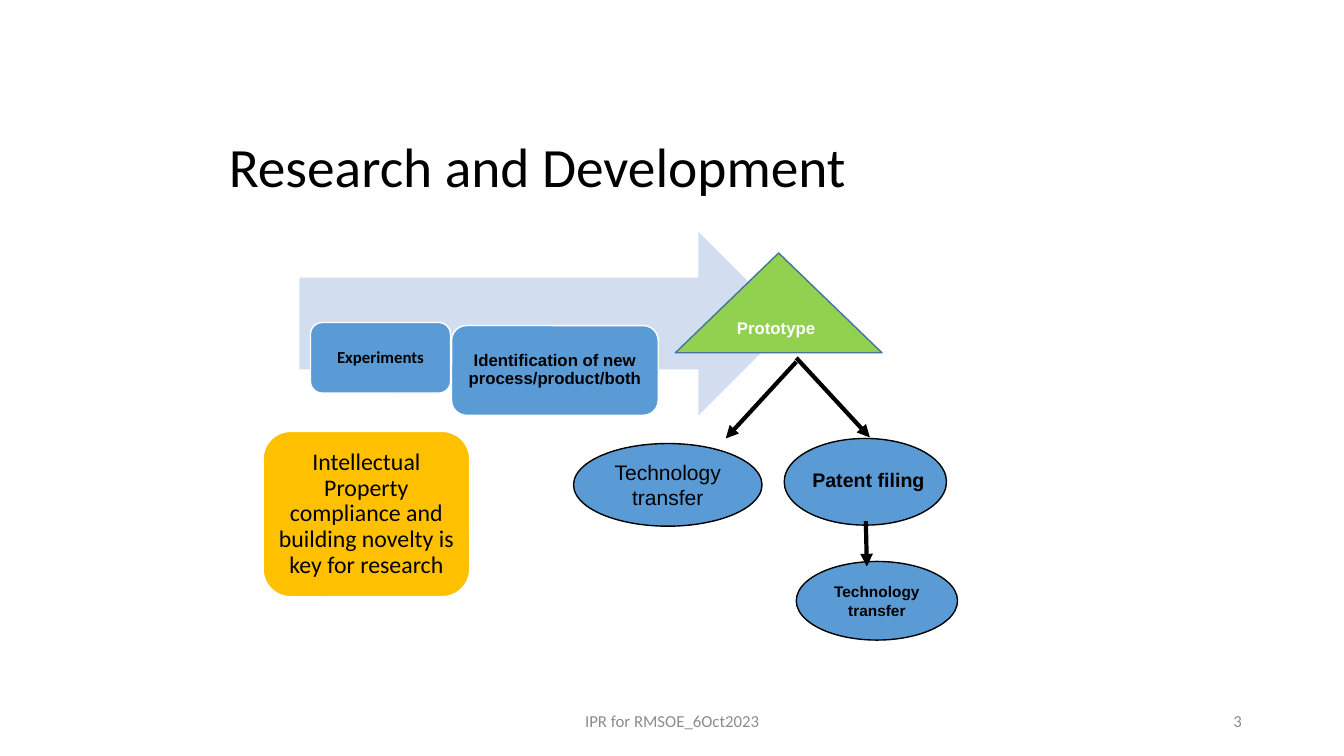
"""Build the Research and Development flow slide."""
from dataclasses import dataclass, field
from typing import Any, NamedTuple, Optional

import pptx
import pptx.dml.color
import pptx.enum.shapes
import pptx.enum.text
import pptx.oxml
import pptx.oxml.ns
import pptx.util

Pt = pptx.util.Pt
SHAPE = pptx.enum.shapes.MSO_SHAPE
ALIGN = pptx.enum.text.PP_ALIGN
ANCHOR = pptx.enum.text.MSO_ANCHOR


@dataclass(frozen=True)
class Theme:
    """Colours, fonts and type sizes of the slide."""

    black: str = "000000"
    white: str = "FFFFFF"
    grey: str = "8C8C8C"
    blue: str = "5B9BD5"
    pale: str = "D2DEEF"
    amber: str = "FFC000"
    green: str = "92D050"
    outline: str = "43739E"
    sans: str = "Arial"
    body: str = "Calibri"
    title: float = 39.6
    key: float = 17
    branch: float = 15
    filing: float = 14
    label: float = 12
    small: float = 11


T = Theme()


class Box(NamedTuple):
    """Left, top, width and height in points."""

    left: float
    top: float
    width: float
    height: float


@dataclass(frozen=True)
class Style:
    """Format of one piece of text."""

    size: float
    font: str = T.sans
    color: str = T.black
    bold: bool = False
    align: Any = ALIGN.CENTER
    anchor: Any = ANCHOR.MIDDLE
    spacing: Optional[float] = None
    inset: Optional[float] = None


@dataclass(frozen=True)
class Node:
    """A filled shape or, without a kind, a text box."""

    box: Box
    kind: Any = None
    fill: str = T.blue
    line: Optional[str] = T.black
    text: str = ""
    style: Style = field(default_factory=lambda: Style(T.label))


class Arrow(NamedTuple):
    """Start and end of an arrow in points."""

    x1: float
    y1: float
    x2: float
    y2: float


FOOTER = Style(T.label, T.body, T.grey)
TITLE = Style(T.title, T.body, align=ALIGN.LEFT, spacing=0.9)

NODES = [
    Node(Box(213.84, 165.6, 350.64, 131.04), SHAPE.RIGHT_ARROW, T.pale, None),
    Node(Box(221.76, 230.4, 100.08, 50.4), SHAPE.ROUNDED_RECTANGLE, T.blue, T.white,
         "Experiments", Style(T.label, T.body, bold=True, spacing=0.9, inset=3.6)),
    Node(Box(322.56, 232.56, 147.6, 64.08), SHAPE.ROUNDED_RECTANGLE, T.blue, T.white,
         "Identification of new process/product/both",
         Style(T.label, bold=True, spacing=0.9, inset=3.6)),
    Node(Box(187.92, 308.16, 147.6, 118.08), SHAPE.ROUNDED_RECTANGLE, T.amber, T.white,
         "Intellectual Property compliance and building novelty is key for research",
         Style(T.key, T.body, spacing=0.9, inset=5.04)),
    Node(Box(482.4, 180.72, 147.6, 71.28), SHAPE.ISOSCELES_TRIANGLE, T.green, T.outline,
         "Prototype", Style(T.label, color=T.white, bold=True, align=ALIGN.LEFT)),
    Node(Box(409.68, 316.8, 134.64, 59.04), SHAPE.OVAL,
         text="Technology transfer", style=Style(T.branch)),
    Node(Box(560.16, 313.2, 115.92, 61.92), SHAPE.OVAL),
    Node(Box(568.8, 401.04, 115.2, 56.16), SHAPE.OVAL,
         text="Technology transfer", style=Style(T.small, bold=True)),
]
ARROWS = [
    Arrow(568.8, 258.48, 518.4, 313.2),
    Arrow(568.8, 255.6, 621.36, 312.48),
    Arrow(618.48, 372.24, 619.2, 404.64),
]
LABELS = [
    Node(Box(573.12, 330.48, 106.56, 24.48), text="Patent filing",
         style=Style(T.filing, bold=True, align=ALIGN.LEFT, anchor=ANCHOR.TOP)),
    Node(Box(318.24, 500.4, 324, 28.8), text="IPR for RMSOE_6Oct2023", style=FOOTER),
    Node(Box(678.24, 500.4, 216, 28.8), text="3",
         style=Style(T.label, T.body, T.grey, align=ALIGN.RIGHT)),
]


def rgb(value: str) -> Any:
    """Return a colour from its hex value."""
    return pptx.dml.color.RGBColor.from_string(value)


def apply(target: Any, values: dict[str, Any]) -> None:
    """Set every attribute in values on target."""
    for name, value in values.items():
        setattr(target, name, value)


def write(sp: Any, text: str, style: Style) -> None:
    """Put styled text into a shape."""
    tf = sp.text_frame
    apply(tf, {"word_wrap": True, "vertical_anchor": style.anchor,
               "auto_size": pptx.enum.text.MSO_AUTO_SIZE.NONE})
    if style.inset is not None:
        sides = ("left", "top", "right", "bottom")
        apply(tf, {f"margin_{side}": Pt(style.inset) for side in sides})
    p = tf.paragraphs[0]
    apply(p, {"alignment": style.align, "line_spacing": style.spacing})
    r = p.add_run()
    r.text = text
    apply(r.font, {"name": style.font, "size": Pt(style.size), "bold": style.bold})
    r.font.color.rgb = rgb(style.color)


def draw_node(s: Any, node: Node) -> None:
    """Draw one shape or text box."""
    place = [Pt(v) for v in node.box]
    if node.kind is None:
        sp = s.shapes.add_textbox(*place)
    else:
        sp = s.shapes.add_shape(node.kind, *place)
        sp.shadow.inherit = False
        sp.fill.solid()
        sp.fill.fore_color.rgb = rgb(node.fill)
        if node.line is None:
            sp.line.fill.background()
        else:
            sp.line.color.rgb = rgb(node.line)
            sp.line.width = Pt(1)
    if node.text:
        write(sp, node.text, node.style)


def draw_arrow(s: Any, arrow: Arrow) -> None:
    """Draw one straight arrow with a triangular head."""
    straight = pptx.enum.shapes.MSO_CONNECTOR.STRAIGHT
    c = s.shapes.add_connector(straight, *(Pt(v) for v in arrow))
    c.line.color.rgb = rgb(T.black)
    c.line.width = Pt(3)
    qn = pptx.oxml.ns.qn
    ln = c.line._get_or_add_ln()
    ln.append(ln.makeelement(qn("a:tailEnd"), {"type": "triangle"}))
    sp_pr = ln.getparent()
    sp_pr.append(sp_pr.makeelement(qn("a:effectLst"), {}))


def main() -> None:
    """Build and save the slide."""
    prs = pptx.Presentation()
    apply(prs, {"slide_width": Pt(960), "slide_height": Pt(540)})
    s = prs.slides.add_slide(prs.slide_layouts[5])
    title = s.shapes.title
    box = Box(156.24, 100.08, 648, 42.48)
    apply(title, {name: Pt(v) for name, v in box._asdict().items()})
    write(title, "Research and Development", TITLE)
    for node in NODES:
        draw_node(s, node)
    for arrow in ARROWS:
        draw_arrow(s, arrow)
    for label in LABELS:
        draw_node(s, label)
    prs.save("out.pptx")


if __name__ == "__main__":
    main()
